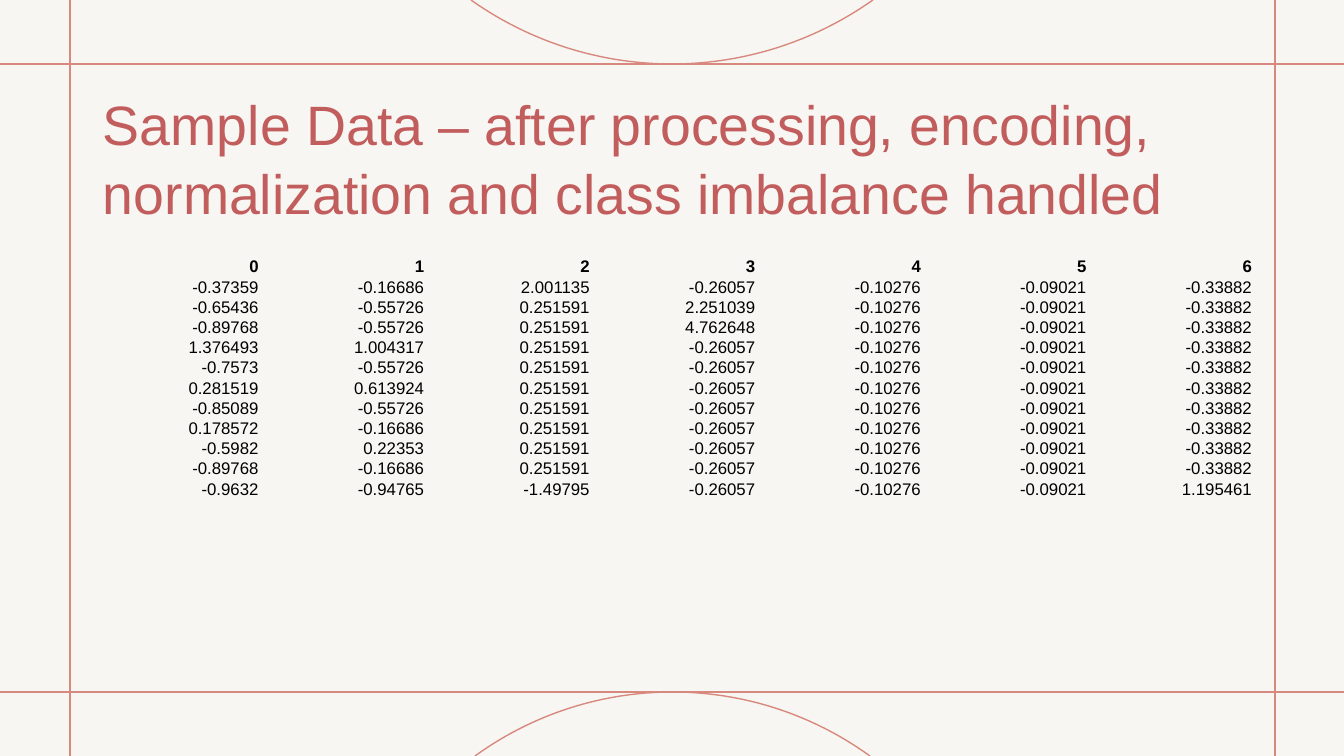
import math

import pptx
import pptx.dml.color
import pptx.enum.shapes
import pptx.enum.text
import pptx.oxml
import pptx.oxml.ns
import pptx.util

EMU_PER_PX = 914400 / 100.8
SLIDE_WIDTH, SLIDE_HEIGHT = 1344, 756
FRAME_LEFT, FRAME_TOP, FRAME_RIGHT, FRAME_BOTTOM = 70, 64, 1275, 692
FONT = "Arial"
CREAM = pptx.dml.color.RGBColor(0xF8, 0xF6, 0xF2)
CORAL = pptx.dml.color.RGBColor(0xD8, 0x89, 0x7E)
ROSE = pptx.dml.color.RGBColor(0xC2, 0x5D, 0x5D)
BLACK = pptx.dml.color.RGBColor(0, 0, 0)
NO_GRID_STYLE = "{2D5ABB26-0587-4C30-8999-92F81FD0307C}"

TITLE = "Sample Data – after processing, encoding, normalization and class imbalance handled"
SAMPLE_ROWS = [
    ["0", "1", "2", "3", "4", "5", "6"],
    ["-0.37359", "-0.16686", "2.001135", "-0.26057", "-0.10276", "-0.09021", "-0.33882"],
    ["-0.65436", "-0.55726", "0.251591", "2.251039", "-0.10276", "-0.09021", "-0.33882"],
    ["-0.89768", "-0.55726", "0.251591", "4.762648", "-0.10276", "-0.09021", "-0.33882"],
    ["1.376493", "1.004317", "0.251591", "-0.26057", "-0.10276", "-0.09021", "-0.33882"],
    ["-0.7573", "-0.55726", "0.251591", "-0.26057", "-0.10276", "-0.09021", "-0.33882"],
    ["0.281519", "0.613924", "0.251591", "-0.26057", "-0.10276", "-0.09021", "-0.33882"],
    ["-0.85089", "-0.55726", "0.251591", "-0.26057", "-0.10276", "-0.09021", "-0.33882"],
    ["0.178572", "-0.16686", "0.251591", "-0.26057", "-0.10276", "-0.09021", "-0.33882"],
    ["-0.5982", "0.22353", "0.251591", "-0.26057", "-0.10276", "-0.09021", "-0.33882"],
    ["-0.89768", "-0.16686", "0.251591", "-0.26057", "-0.10276", "-0.09021", "-0.33882"],
    ["-0.9632", "-0.94765", "-1.49795", "-0.26057", "-0.10276", "-0.09021", "1.195461"],
]


def px(length):
    return pptx.util.Emu(round(length * EMU_PER_PX))


def apply_format(target, values):
    for name, value in values.items():
        setattr(target, name, value)


def write_text(paragraph, text, font_format):
    run = paragraph.add_run()
    run.text = text
    run.font.color.rgb = font_format["color"]
    apply_format(run.font, {"name": FONT, "size": font_format["size"], "bold": font_format["bold"]})


def style_line(line):
    line.color.rgb = CORAL
    line.width = pptx.util.Pt(1)


def add_frame_line(slide, start, end):
    connector = slide.shapes.add_connector(
        pptx.enum.shapes.MSO_CONNECTOR.STRAIGHT, *map(px, start + end))
    style_line(connector.line)
    connector._element.spPr.append(pptx.oxml.parse_xml(
        "<a:effectLst %s/>" % pptx.oxml.ns.nsdecls("a")))


def add_arc(slide, left, top, width, height, bulges_down):
    radius = (width ** 2 / 4 + height ** 2) / (2 * height)
    half_angle = math.asin(width / 2 / radius)
    steps = 48
    points = []
    for step in range(steps + 1):
        angle = half_angle * (2 * step / steps - 1)
        depth = height - radius * (1 - math.cos(angle))
        y = top + depth if bulges_down else top + height - depth
        points.append((px(left + width / 2 + radius * math.sin(angle)), px(y)))
    builder = slide.shapes.build_freeform(*points[0], scale=1.0)
    builder.add_line_segments(points[1:], close=False)
    arc = builder.convert_to_shape()
    arc.shadow.inherit = False
    arc.fill.background()
    style_line(arc.line)


def add_frame(slide, left, top, right, bottom):
    for y in (bottom, top):
        add_frame_line(slide, (0, y), (SLIDE_WIDTH, y))
    for x in (right, left):
        add_frame_line(slide, (x, SLIDE_HEIGHT), (x, 0))
    add_arc(slide, 471, 0, 402, top, True)
    add_arc(slide, 475, bottom, 395, SLIDE_HEIGHT - bottom, False)


def add_title(slide, left, top, width, height):
    box = slide.shapes.add_textbox(px(left), px(top), px(width), px(height))
    apply_format(box.text_frame, {
        "word_wrap": True,
        "vertical_anchor": pptx.enum.text.MSO_ANCHOR.MIDDLE,
        "margin_left": px(10), "margin_right": px(10),
        "margin_top": px(10), "margin_bottom": px(5),
    })
    paragraph = box.text_frame.paragraphs[0]
    paragraph.line_spacing = 1.04
    write_text(paragraph, TITLE, {"color": ROSE, "size": pptx.util.Pt(39.6), "bold": False})


def add_sample_table(slide, left, top, width, height):
    table = slide.shapes.add_table(
        len(SAMPLE_ROWS), len(SAMPLE_ROWS[0]), px(left), px(top), px(width), px(height)).table
    apply_format(table, {"first_row": False, "horz_banding": False})
    table._tbl.tblPr.find(pptx.oxml.ns.qn("a:tableStyleId")).text = NO_GRID_STYLE
    for column in table.columns:
        column.width = px(width / len(table.columns))
    for row_index, values in enumerate(SAMPLE_ROWS):
        table.rows[row_index].height = px(height / len(SAMPLE_ROWS))
        for column_index, value in enumerate(values):
            cell = table.cell(row_index, column_index)
            cell.fill.background()
            apply_format(cell, {
                "vertical_anchor": pptx.enum.text.MSO_ANCHOR.MIDDLE,
                "margin_left": 0, "margin_right": 0, "margin_top": 0, "margin_bottom": 0,
            })
            paragraph = cell.text_frame.paragraphs[0]
            paragraph.alignment = pptx.enum.text.PP_ALIGN.RIGHT
            write_text(paragraph, value, {
                "color": BLACK, "size": pptx.util.Pt(12), "bold": row_index == 0})


def main():
    presentation = pptx.Presentation()
    apply_format(presentation, {"slide_width": px(SLIDE_WIDTH), "slide_height": px(SLIDE_HEIGHT)})
    slide = presentation.slides.add_slide(presentation.slide_layouts[6])
    slide.background.fill.solid()
    slide.background.fill.fore_color.rgb = CREAM
    add_frame(slide, FRAME_LEFT, FRAME_TOP, FRAME_RIGHT, FRAME_BOTTOM)
    add_title(slide, 93, 81, 1159, 146)
    add_sample_table(slide, 93, 257, 1159, 242)
    presentation.save("out.pptx")


if __name__ == "__main__":
    main()
